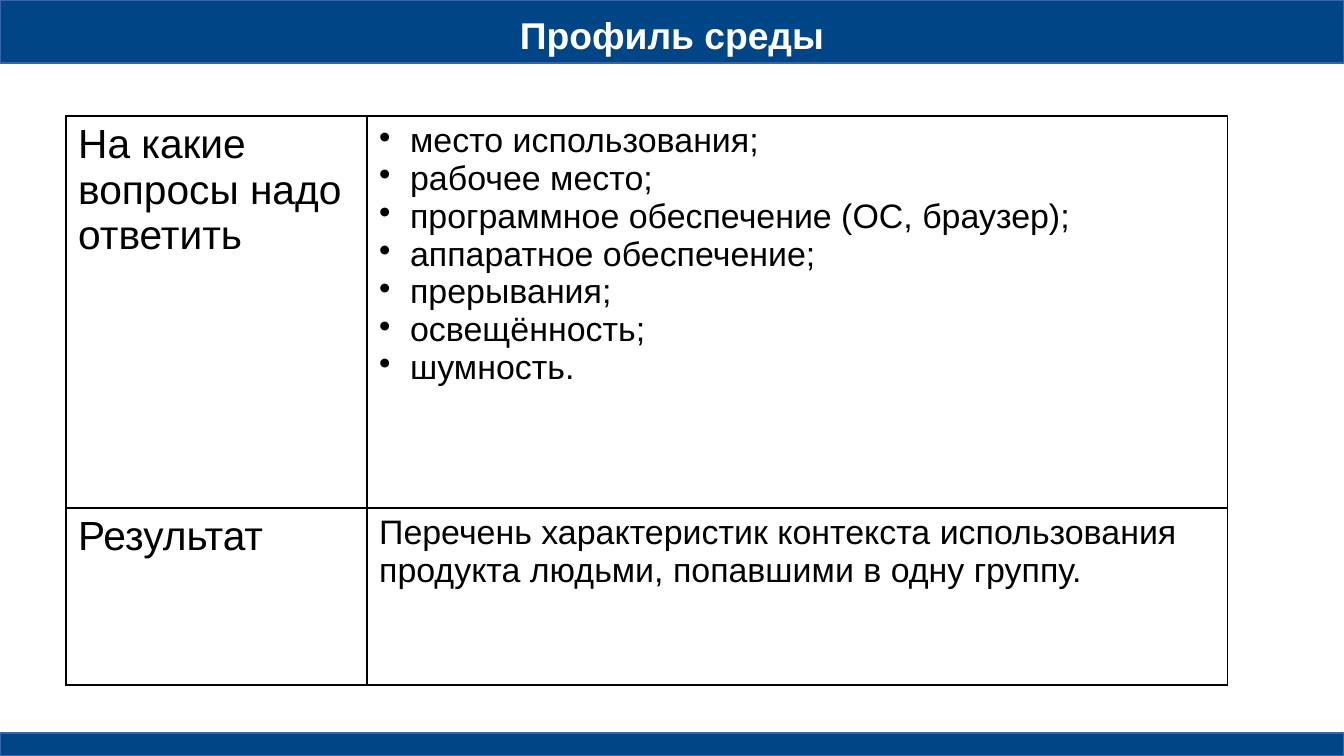
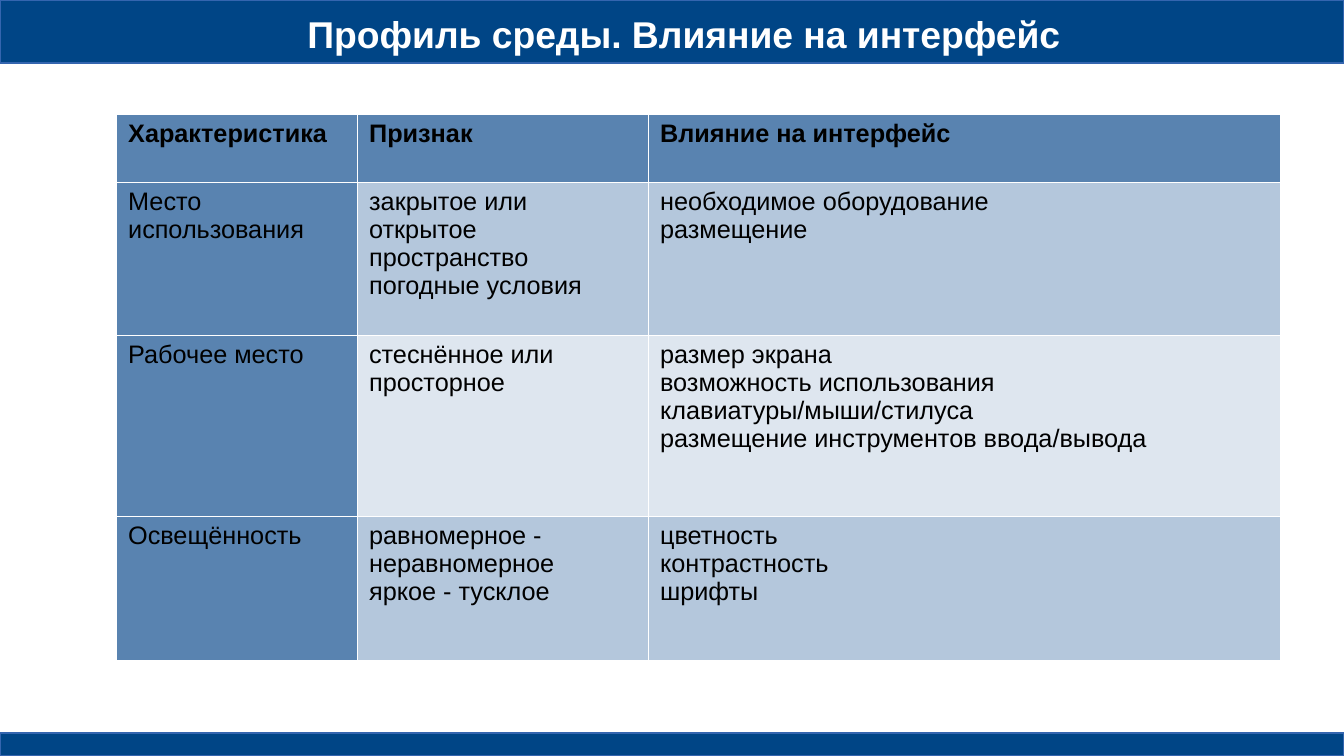
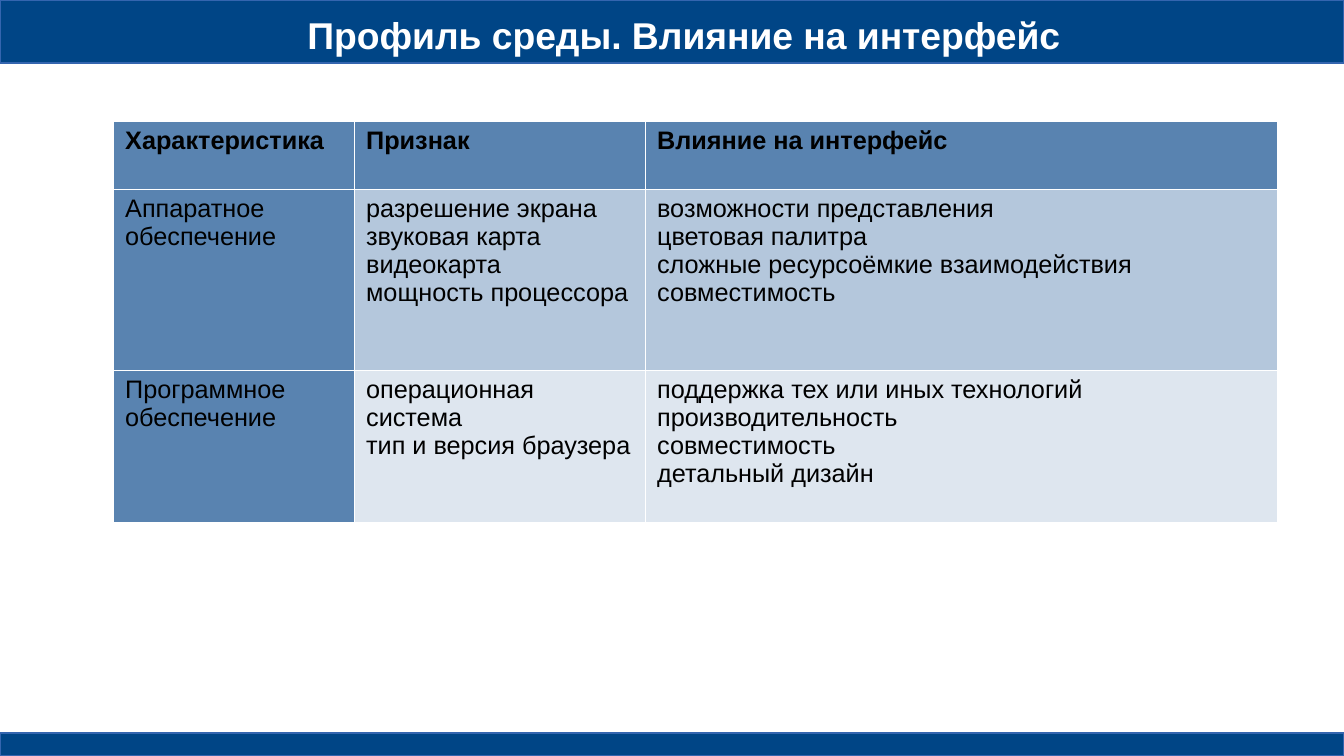
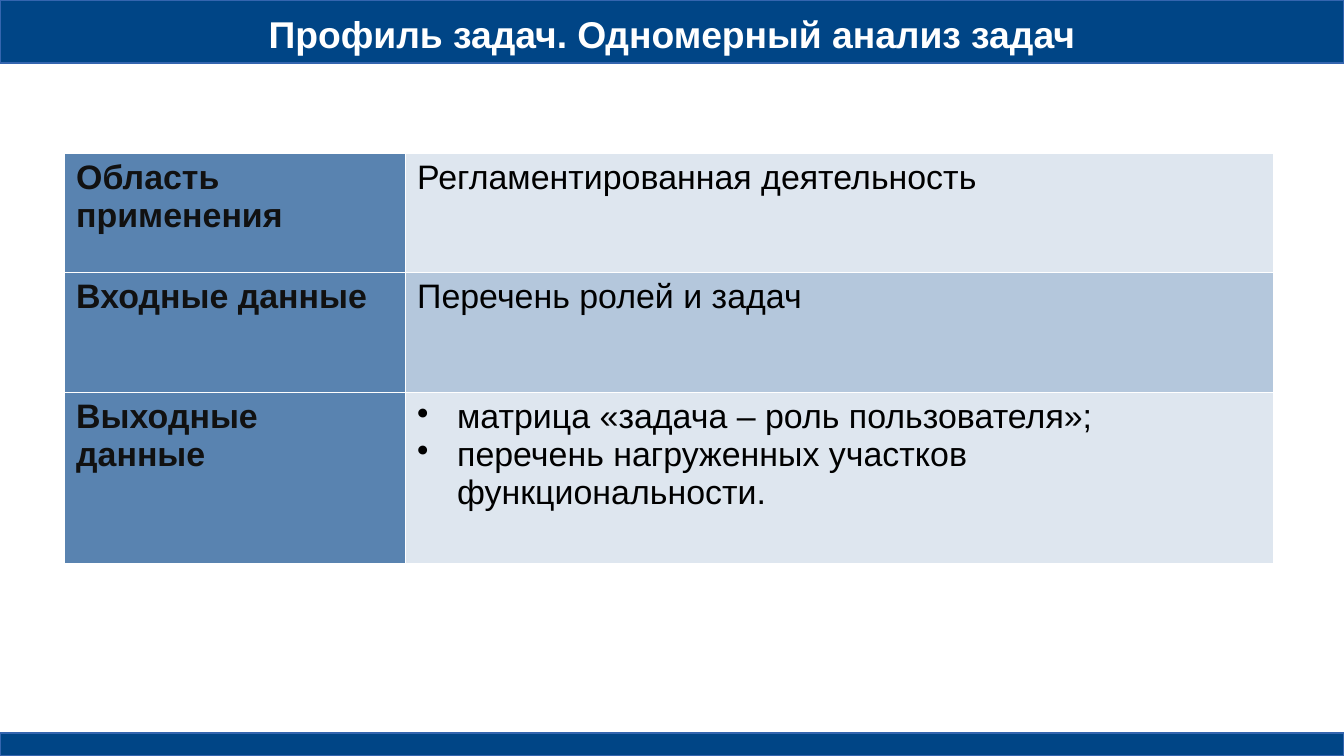
import pptx
import pptx.util
import pptx.dml.color
import pptx.enum.shapes
import pptx.enum.text
import pptx.oxml
import pptx.oxml.ns
from lxml import etree


# Theme: colours, type sizes and shared measures
class Theme:
    font = "Arial"
    band, band_line = "004586", "3465AF"
    white, black, label = "FFFFFF", "000000", "111111"
    head, rows = "5983B0", ("DEE6EF", "B4C7DC")  # rows: even, odd
    title_size, large, medium, small = 22, 24, 20, 14.9
    grid_line, hairline = 0.75, 0.06


# Content: lengths in px; a tuple is a cell of several lines
WIDTH, HEIGHT, PX_PER_INCH = 1344, 756, 122
BANDS = [(0, 0, WIDTH, 63), (0, 733, WIDTH, 23)]
HEADER = ["Характеристика", "Признак", "Влияние на интерфейс"]
IMPACT = dict(cols=[241, 291, 632], style="impact")

SLIDES = [
    dict(
        title="Профиль среды", title_box=(49, 12, 1246, 45),
        table=dict(
            at=(66, 116), cols=[301, 861], rows=[392, 177], style="plain", hang=31,
            cells=[
                ["На какие вопросы надо ответить", {"bullets": (
                    "место использования;",
                    "рабочее место;",
                    "программное обеспечение (ОС, браузер);",
                    "аппаратное обеспечение;",
                    "прерывания;",
                    "освещённость;",
                    "шумность.")}],
                ["Результат",
                 "Перечень характеристик контекста использования продукта "
                 "людьми, попавшими в одну группу."],
            ]),
    ),
    dict(
        title="Профиль среды. Влияние на интерфейс", title_box=(63, 13, 1242, 42),
        table=dict(
            IMPACT, at=(116, 114), rows=[68, 153, 181, 144],
            cells=[
                HEADER,
                ["Место использования",
                 ("закрытое или открытое пространство", "погодные условия"),
                 ("необходимое оборудование", "размещение")],
                ["Рабочее место",
                 "стеснённое или просторное",
                 ("размер экрана",
                  "возможность использования клавиатуры/мыши/стилуса",
                  "размещение инструментов ввода/вывода")],
                ["Освещённость",
                 ("равномерное - неравномерное", "яркое - тусклое"),
                 ("цветность", "контрастность", "шрифты")],
            ]),
    ),
    dict(
        title="Профиль среды. Влияние на интерфейс", title_box=(63, 12, 1242, 45),
        table=dict(
            IMPACT, at=(113, 121), rows=[68, 181, 152],
            cells=[
                HEADER,
                ["Аппаратное обеспечение",
                 ("разрешение экрана", "звуковая карта", "видеокарта",
                  "мощность процессора"),
                 ("возможности представления", "цветовая палитра",
                  "сложные ресурсоёмкие взаимодействия", "совместимость")],
                ["Программное обеспечение",
                 ("операционная система", "тип и версия браузера"),
                 ("поддержка тех или иных технологий", "производительность",
                  "совместимость", "детальный дизайн")],
            ]),
    ),
    dict(
        title="Профиль задач. Одномерный анализ задач", title_box=(49, 11, 1246, 45),
        table=dict(
            at=(64, 153), cols=[341, 868], rows=[119, 120, 171], style="labels", hang=40,
            cells=[
                ["Область применения", "Регламентированная деятельность"],
                ["Входные данные", "Перечень ролей и задач"],
                ["Выходные данные", {"bullets": (
                    "матрица «задача – роль пользователя»;",
                    "перечень нагруженных участков функциональности.")}],
            ]),
    ),
]


def px(n):
    return pptx.util.Emu(round(n * pptx.util.Inches(1) / PX_PER_INCH))


def rgb(value):
    return pptx.dml.color.RGBColor.from_string(value)


def write(tf, text, size=Theme.medium, color=Theme.black, bold=False,
          align=pptx.enum.text.PP_ALIGN.LEFT, hang=0):
    """Write one line or a tuple of lines; hang > 0 makes a bulleted list."""
    for i, line in enumerate((text,) if isinstance(text, str) else text):
        p = tf.add_paragraph() if i else tf.paragraphs[0]
        p.alignment = align
        if hang:
            pPr = p._p.get_or_add_pPr()
            pPr.set("marL", str(px(hang)))
            pPr.set("indent", str(-px(hang)))
            etree.SubElement(pPr, pptx.oxml.ns.qn("a:buChar")).set("char", "•")
        r = p.add_run()
        r.text = line
        r.font.name, r.font.size, r.font.bold = Theme.font, pptx.util.Pt(size), bold
        r.font.color.rgb = rgb(color)


def set_borders(cell, color, width):
    tcPr = cell._tc.get_or_add_tcPr()
    for side in ("lnL", "lnR", "lnT", "lnB"):
        tcPr.append(pptx.oxml.parse_xml(
            f'<a:{side} {pptx.oxml.ns.nsdecls("a")} w="{pptx.util.Pt(width)}">'
            f'<a:solidFill><a:srgbClr val="{color}"/></a:solidFill></a:{side}>'))


def cell_format(style, row, col):
    """Text format of a cell by its place in the table."""
    if style == "impact":
        return dict(size=Theme.small, bold=row == 0)
    if col:
        return {}
    if style == "plain":
        return dict(size=Theme.large)
    return dict(color=Theme.label, bold=True)


def fill_cell(cell, style, row, col):
    if style == "plain":
        set_borders(cell, Theme.black, Theme.grid_line)
        cell.fill.background()
        return
    set_borders(cell, Theme.white, Theme.hairline)
    is_head = col == 0 or (style == "impact" and row == 0)
    cell.fill.solid()
    cell.fill.fore_color.rgb = rgb(Theme.head if is_head else Theme.rows[row % 2])


def add_table(s, at, cols, rows, cells, style, hang=0):
    box = (*at, sum(cols), sum(rows))
    table = s.shapes.add_table(len(rows), len(cols), *map(px, box)).table
    table.first_row = table.horz_banding = False
    for column, width in zip(table.columns, cols):
        column.width = px(width)
    for i, height in enumerate(rows):
        table.rows[i].height = px(height)
        for j, text in enumerate(cells[i]):
            cell = table.cell(i, j)
            fill_cell(cell, style, i, j)
            fmt = cell_format(style, i, j)
            if isinstance(text, dict):
                text, fmt = text["bullets"], dict(fmt, hang=hang)
            write(cell.text_frame, text, **fmt)


def add_bands(layout, s):
    """Draw the bands on a slide, then move them to the back of its layout."""
    for i, box in enumerate(BANDS):
        band = s.shapes.add_shape(
            pptx.enum.shapes.MSO_SHAPE.RECTANGLE, *map(px, box))
        band.shadow.inherit = False
        band.fill.solid()
        band.fill.fore_color.rgb = rgb(Theme.band)
        band.line.color.rgb = rgb(Theme.band_line)
        band.line.width = 0
        layout.shapes.element.insert(2 + i, band.element)


def add_title(s, text, box):
    title = s.shapes.title
    title.left, title.top, title.width, title.height = map(px, box)
    tf = title.text_frame
    tf.margin_left = tf.margin_right = tf.margin_top = tf.margin_bottom = 0
    tf.vertical_anchor = pptx.enum.text.MSO_ANCHOR.MIDDLE
    tf.auto_size = pptx.enum.text.MSO_AUTO_SIZE.NONE
    tf.word_wrap = True
    write(tf, text, size=Theme.title_size, color=Theme.white, bold=True,
          align=pptx.enum.text.PP_ALIGN.CENTER)


def main():
    prs = pptx.Presentation()
    prs.slide_width, prs.slide_height = px(WIDTH), px(HEIGHT)
    layout = prs.slide_layouts.get_by_name("Title Only")
    for i, content in enumerate(SLIDES):
        s = prs.slides.add_slide(layout)
        if i == 0:
            add_bands(layout, s)
        add_title(s, content["title"], content["title_box"])
        add_table(s, **content["table"])
    prs.save("out.pptx")


if __name__ == "__main__":
    main()
